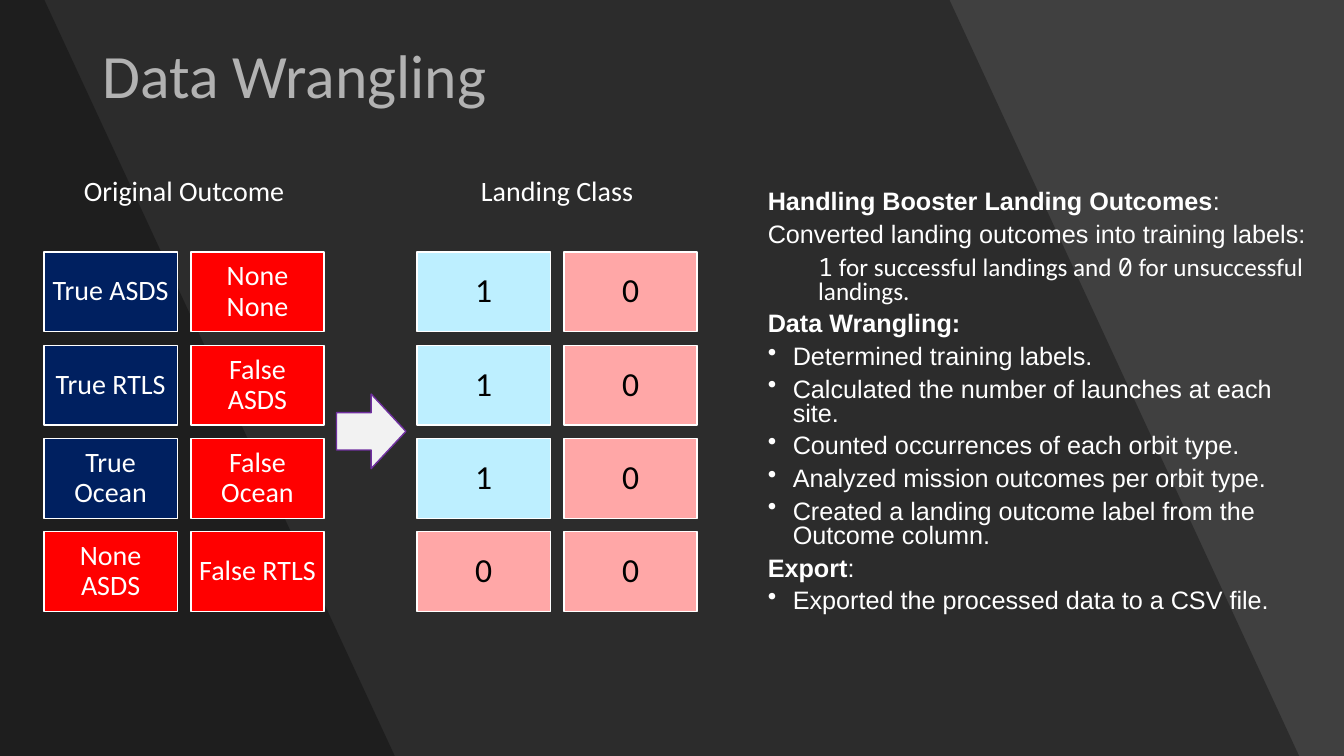
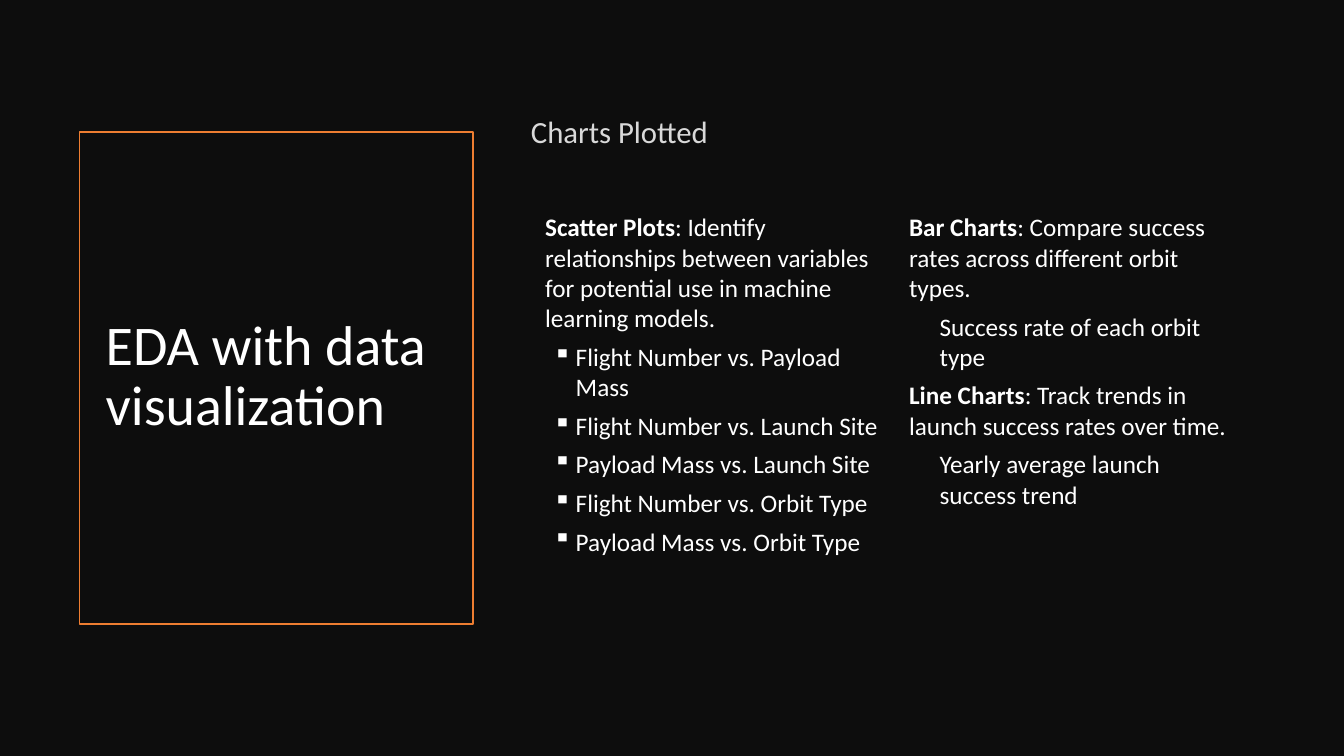
from dataclasses import dataclass
from typing import Optional

from lxml import etree
from pptx import Presentation
from pptx import util as u
from pptx.dml import color as c
from pptx.enum import shapes, text
from pptx.oxml import ns

COLORS = {
    "charcoal": "404040", "near_black": "0D0D0D", "black": "000000",
    "white": "FFFFFF", "light_gray": "D9D9D9", "arrow": "F2F2F2",
    "navy": "002060", "red": "FF0000", "pale_blue": "BDEFFF",
    "pale_red": "FFA7A7", "purple": "7030A0", "orange": "ED7D31",
}
SANS, BODY, MONO = "Calibri", "Arial", "Noto Sans Mono"
WIDTH, HEIGHT = 33.87, 19.05


@dataclass(frozen=True)
class Box:
    left: float
    top: float
    width: float
    height: float

    def lengths(self) -> list[u.Length]:
        return [u.Cm(v) for v in (self.left, self.top, self.width, self.height)]


@dataclass(frozen=True)
class Run:
    words: str
    bold: bool = False
    font: Optional[str] = None


@dataclass(frozen=True)
class Para:
    runs: tuple[Run, ...]
    margin: float = 0
    hanging: float = 0
    bullet: str = ""


@dataclass(frozen=True)
class Style:
    size: float
    color: str = "white"
    font: str = SANS
    line_spacing: float = 1.0
    space_after: float = 0
    align: text.PP_ALIGN = text.PP_ALIGN.LEFT


@dataclass(frozen=True)
class Panel:
    heading: str
    left: float
    rows: tuple[tuple[str, str], ...]
    fills: dict[str, str]
    style: Style
    inset: float


# Shared helpers
def rgb(name: str) -> c.RGBColor:
    return c.RGBColor.from_string(COLORS[name])


def plain(words: str, **layout) -> Para:
    return Para((Run(words),), **layout)


def lead(bold_words: str, rest: str = "") -> Para:
    runs = (Run(bold_words, bold=True),)
    return Para(runs + ((Run(rest),) if rest else ()))


def write(frame, paragraphs: list[Para], style: Style) -> None:
    for index, item in enumerate(paragraphs):
        paragraph = frame.paragraphs[0] if index == 0 else frame.add_paragraph()
        properties = paragraph._p.get_or_add_pPr()
        if item.margin:
            properties.set("marL", str(u.Cm(item.margin)))
            properties.set("indent", str(-u.Cm(item.hanging)))
        if item.bullet:
            etree.SubElement(properties, ns.qn("a:buChar")).set("char", item.bullet)
        paragraph.alignment = style.align
        paragraph.line_spacing = style.line_spacing
        paragraph.space_before = u.Pt(0)
        paragraph.space_after = u.Pt(style.space_after)
        for part in item.runs:
            run = paragraph.add_run()
            run.text = part.words
            run.font.name = part.font or style.font
            run.font.size = u.Pt(style.size)
            run.font.bold = part.bold
            run.font.color.rgb = rgb(style.color)


def add_text(slide, box: Box, paragraphs: list[Para], style: Style, wrap: bool = True) -> None:
    frame = slide.shapes.add_textbox(*box.lengths()).text_frame
    frame.word_wrap = wrap
    write(frame, paragraphs, style)


def paint(shape, fill: Optional[str], line: Optional[str]) -> None:
    shape.shadow.inherit = False
    if fill:
        shape.fill.solid()
        shape.fill.fore_color.rgb = rgb(fill)
    else:
        shape.fill.background()
    if line:
        shape.line.color.rgb = rgb(line)
        shape.line.width = u.Pt(1)
    else:
        shape.line.fill.background()


def add_shape(slide, kind: shapes.MSO_SHAPE, box: Box, fill: Optional[str], line: str):
    shape = slide.shapes.add_shape(kind, *box.lengths())
    paint(shape, fill, line)
    return shape


def add_wedge(slide, top_width: float, bottom_width: float) -> None:
    builder = slide.shapes.build_freeform(0, 0)
    corners = ((top_width, 0), (bottom_width, HEIGHT), (0, HEIGHT))
    builder.add_line_segments([(u.Cm(x), u.Cm(y)) for x, y in corners], close=True)
    wedge = builder.convert_to_shape()
    paint(wedge, "black", None)
    fill_color = wedge._element.spPr.find(".//" + ns.qn("a:srgbClr"))
    etree.SubElement(fill_color, ns.qn("a:alpha")).set("val", "30000")


def set_background(slide, color: str) -> None:
    slide.background.fill.solid()
    slide.background.fill.fore_color.rgb = rgb(color)


def set_title(slide, words: str, box: Box, size: float, anchor: text.MSO_ANCHOR) -> None:
    title = slide.shapes.title
    title.left, title.top, title.width, title.height = box.lengths()
    frame = title.text_frame
    frame.auto_size = text.MSO_AUTO_SIZE.NONE
    frame.word_wrap = True
    frame.vertical_anchor = anchor
    write(frame, [plain(words)], Style(size, line_spacing=0.9))


# Data wrangling: outcome tiles and their classes
TILE_WIDTH, TILE_HEIGHT, TILE_GAP, TILE_TOP = 3.36, 2.01, 0.34, 6.35
TILE_TEXT = {"line_spacing": 0.9, "align": text.PP_ALIGN.CENTER}
CLASS_FILLS = {"1": "pale_blue", "0": "pale_red"}
PANELS = (
    Panel("Original Outcome", 1.11,
          (("True ASDS", "None None"), ("True RTLS", "False ASDS"),
           ("True Ocean", "False Ocean"), ("None ASDS", "False RTLS")),
          {"True": "navy", "False": "red", "None": "red"},
          Style(20, **TILE_TEXT), 0.19),
    Panel("Landing Class", 10.51, (("1", "0"),) * 3 + (("0", "0"),),
          CLASS_FILLS, Style(24, "black", **TILE_TEXT), 0.25),
)


def add_panel(slide, panel: Panel) -> None:
    heading = Box(panel.left, 4.24, 2 * TILE_WIDTH + TILE_GAP, 1.12)
    add_text(slide, heading, [plain(panel.heading)],
             Style(20, align=text.PP_ALIGN.CENTER), wrap=False)
    for row, labels in enumerate(panel.rows):
        for column, label in enumerate(labels):
            box = Box(panel.left + column * (TILE_WIDTH + TILE_GAP),
                      TILE_TOP + row * (TILE_HEIGHT + TILE_GAP),
                      TILE_WIDTH, TILE_HEIGHT)
            fill = panel.fills[label.split()[0]]
            tile = add_shape(slide, shapes.MSO_SHAPE.RECTANGLE, box, fill, "white")
            frame = tile.text_frame
            frame.word_wrap = True
            frame.vertical_anchor = text.MSO_ANCHOR.MIDDLE
            frame.margin_left = frame.margin_right = u.Cm(panel.inset)
            frame.margin_top = frame.margin_bottom = u.Cm(panel.inset)
            write(frame, [plain(label)], panel.style)


def build_wrangling(slide) -> None:
    set_background(slide, "charcoal")
    add_wedge(slide, 23.93, 32.74)
    add_wedge(slide, 1.12, 9.95)
    set_title(slide, "Data Wrangling", Box(2.33, 1.01, 29.21, 3.68), 44,
              text.MSO_ANCHOR.TOP)

    steps = ("Determined training labels.",
             "Calculated the number of launches at each site.",
             "Counted occurrences of each orbit type.",
             "Analyzed mission outcomes per orbit type.",
             "Created a landing outcome label from the Outcome column.")
    dot = {"margin": 0.63, "hanging": 0.63, "bullet": "•"}
    notes = [
        lead("Handling Booster Landing Outcomes", ":"),
        plain("Converted landing outcomes into training labels:"),
        Para((Run("1", font=MONO), Run(" for successful landings and ", font=SANS),
              Run("0", font=MONO), Run(" for unsuccessful landings.", font=SANS)),
             margin=1.27),
        lead("Data Wrangling:"),
        *(plain(step, **dot) for step in steps),
        lead("Export", ":"),
        plain("Exported the processed data to a CSV file.", **dot),
    ]
    add_text(slide, Box(19.1, 4.7, 14.15, 11.58), notes,
             Style(18, font=BODY, line_spacing=0.8, space_after=6))

    for panel in PANELS:
        add_panel(slide, panel)
    add_shape(slide, shapes.MSO_SHAPE.RIGHT_ARROW, Box(8.48, 9.93, 1.75, 1.88),
              "arrow", "purple")


# EDA: framed title and two columns of chart descriptions
def build_eda(slide) -> None:
    set_background(slide, "near_black")
    set_title(slide, "EDA with data visualization", Box(2.41, 3.73, 9.14, 11.56), 40,
              text.MSO_ANCHOR.MIDDLE)
    add_shape(slide, shapes.MSO_SHAPE.RECTANGLE, Box(2.01, 3.33, 9.91, 12.4),
              None, "orange")

    pairs = ("Flight Number vs. Payload Mass", "Flight Number vs. Launch Site",
             "Payload Mass vs. Launch Site", "Flight Number vs. Orbit Type",
             "Payload Mass vs. Orbit Type")
    scatter = [
        lead("Scatter Plots", ": Identify relationships between variables for "
             "potential use in machine learning models."),
        *(plain(pair, margin=0.77, hanging=0.57, bullet="▪") for pair in pairs),
    ]
    bars_and_lines = [
        lead("Bar Charts", ": Compare success rates across different orbit types."),
        plain("Success rate of each orbit type", margin=0.77),
        lead("Line Charts", ": Track trends in launch success rates over time."),
        plain("Yearly average launch success trend", margin=0.77),
    ]
    for left, column in ((13.49, scatter), (22.66, bars_and_lines)):
        add_text(slide, Box(left, 5.21, 8.89, 8.25), column, Style(18, space_after=6))
    add_text(slide, Box(13.13, 2.82, 18.03, 1.45), [plain("Charts Plotted")],
             Style(22, "light_gray", line_spacing=0.9, space_after=6))


def main() -> None:
    presentation = Presentation()
    presentation.slide_width = u.Cm(WIDTH)
    presentation.slide_height = u.Cm(HEIGHT)
    title_only = presentation.slide_layouts[5]
    for build in (build_wrangling, build_eda):
        build(presentation.slides.add_slide(title_only))
    presentation.save("out.pptx")


if __name__ == "__main__":
    main()
